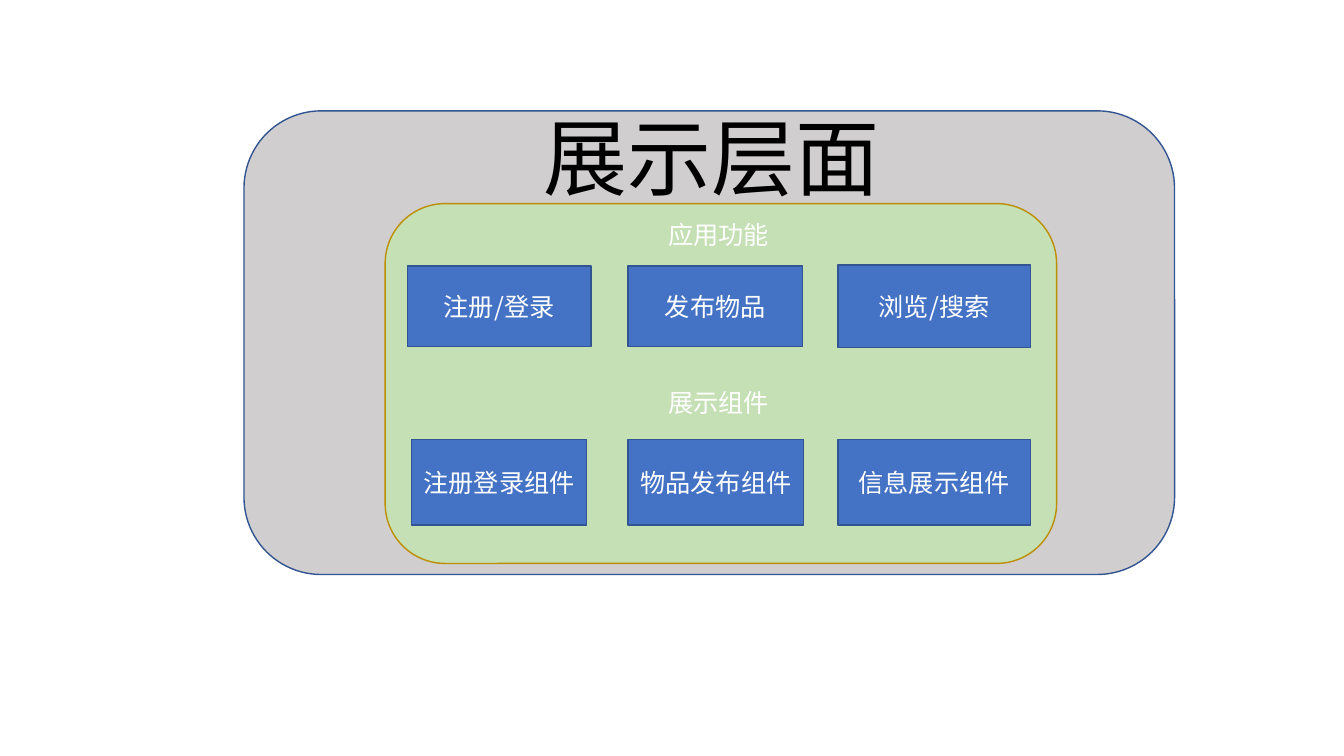
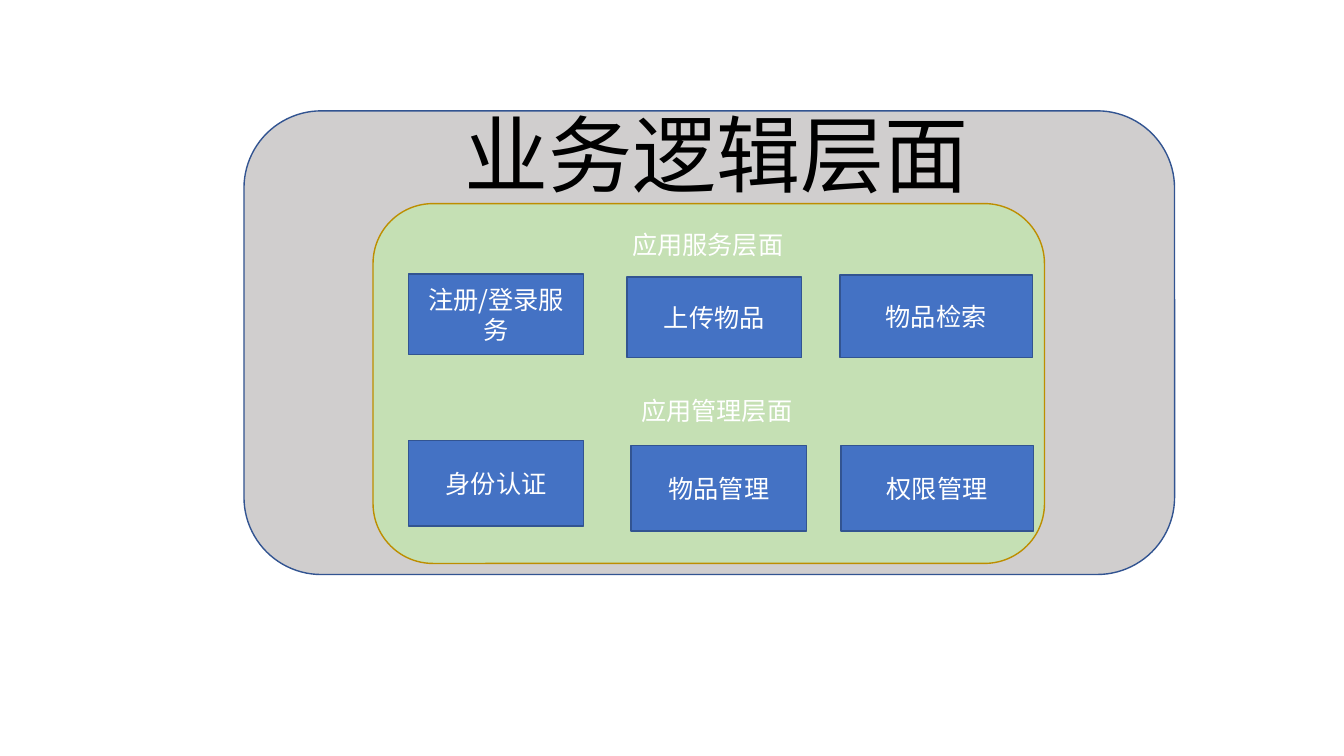
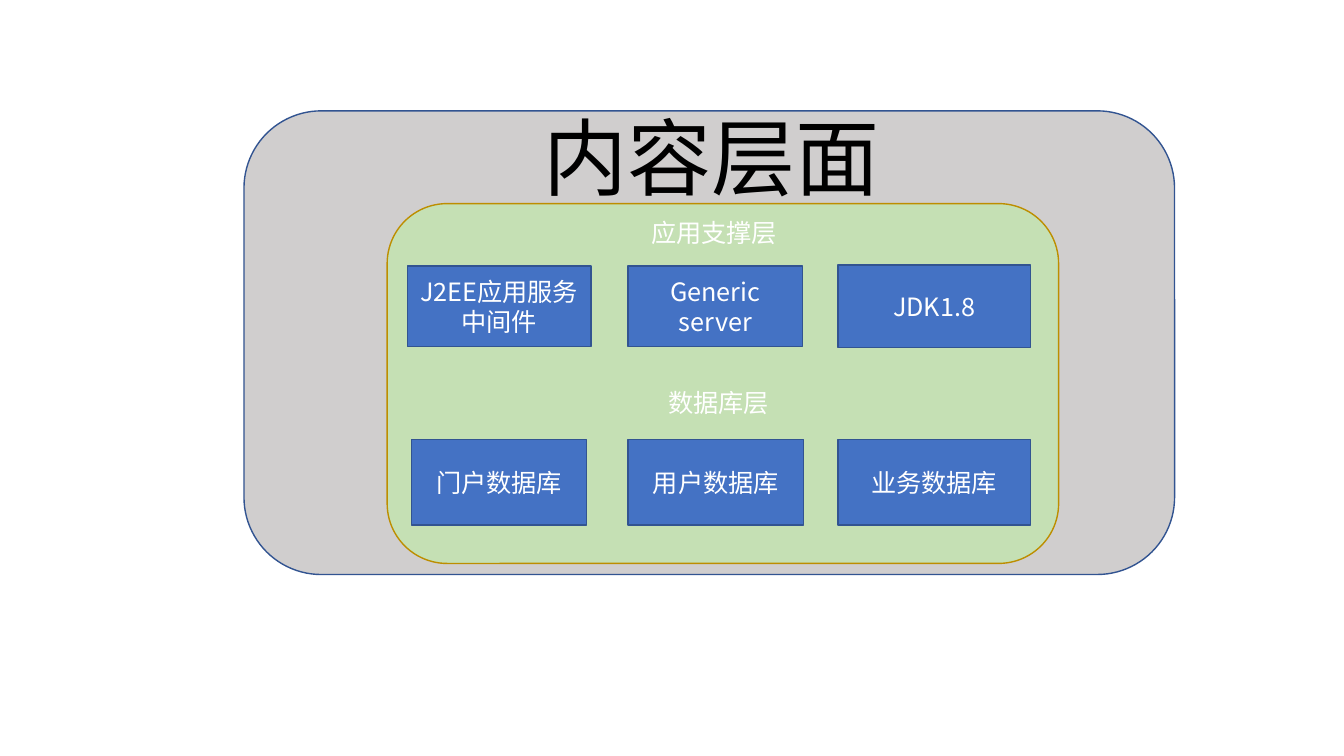
from pptx import Presentation
from pptx.dml.color import RGBColor
from pptx.enum.shapes import MSO_SHAPE
from pptx.enum.text import MSO_ANCHOR, MSO_AUTO_SIZE, PP_ALIGN
from pptx.oxml.ns import qn
from pptx.util import Inches, Pt
from lxml import etree

# Shared look
FONT = "Noto Sans CJK SC"
BLACK = RGBColor(0x00, 0x00, 0x00)
WHITE = RGBColor(0xFF, 0xFF, 0xFF)
GRAY = RGBColor(0xD0, 0xCE, 0xCE)
GREEN = RGBColor(0xC5, 0xE0, 0xB4)
GOLD = RGBColor(0xBD, 0x8E, 0x00)
BLUE = RGBColor(0x44, 0x72, 0xC4)
NAVY = RGBColor(0x32, 0x54, 0x91)

# Module boxes, row by row: left, top, width, height
GRID = [
    [(4.04, 2.64, 1.82, 0.8), (6.23, 2.64, 1.73, 0.8), (8.31, 2.63, 1.91, 0.82)],
    [(4.08, 4.36, 1.74, 0.85), (6.23, 4.36, 1.74, 0.85), (8.31, 4.36, 1.91, 0.85)],
]
LOGIC_GRID = [
    [(4.05, 2.72, 1.74, 0.8), (6.22, 2.75, 1.73, 0.8), (8.33, 2.73, 1.91, 0.82)],
    [(4.05, 4.37, 1.74, 0.85), (6.26, 4.42, 1.74, 0.85), (8.34, 4.42, 1.91, 0.85)],
]

# Each layer: title, title place, left of the green panel, grid,
# then per row the caption, its place and the modules
LAYERS = [
    ("展示层面", (5.29, 1, 5.35, 1.11), 3.82, GRID, [
        ("应用功能", (6.53, 2.13, 1.43, 0.4), ["注册/登录", "发布物品", "浏览/搜索"]),
        ("展示组件", (6.53, 3.79, 1.43, 0.4),
         ["注册登录组件", "物品发布组件", "信息展示组件"]),
    ]),
    ("业务逻辑层面", (4.51, 0.97, 5.38, 1.11), 3.7, LOGIC_GRID, [
        ("应用服务层面", (6.17, 2.23, 1.91, 0.4),
         ["注册/登录服务", "上传物品", "物品检索"]),
        ("应用管理层面", (6.26, 3.87, 1.91, 0.4),
         ["身份认证", "物品管理", "权限管理"]),
    ]),
    ("内容层面", (5.29, 1, 5.35, 1.11), 3.84, GRID, [
        ("应用支撑层", (6.36, 2.11, 1.62, 0.4),
         ["J2EE应用服务中间件", "Generic server", "JDK1.8"]),
        ("数据库层", (6.53, 3.79, 1.43, 0.4),
         ["门户数据库", "用户数据库", "业务数据库"]),
    ]),
]


def add_block(slide, preset, place, fill, outline):
    block = slide.shapes.add_shape(preset, *map(Inches, place))
    block.shadow.inherit = False
    block.fill.solid()
    block.fill.fore_color.rgb = fill
    block.line.color.rgb = outline
    block.line.width = Pt(1)
    return block


def write(shape, text, size, color, align, anchor):
    frame = shape.text_frame
    frame.word_wrap = True
    frame.auto_size = MSO_AUTO_SIZE.NONE
    frame.vertical_anchor = anchor
    paragraph = frame.paragraphs[0]
    paragraph.alignment = align
    run = paragraph.add_run()
    run.text = text
    run.font.name = FONT
    run.font.size = Pt(size)
    run.font.color.rgb = color
    # East Asian characters take their own font entry
    latin = run.font._element.find(qn("a:latin"))
    east_asian = etree.Element(qn("a:ea"), typeface=FONT)
    latin.addnext(east_asian)


deck = Presentation()
deck.slide_width = Inches(13.33)
deck.slide_height = Inches(7.5)
title_only = deck.slide_layouts[5]

for layer, title_place, panel_left, grid, rows in LAYERS:
    slide = deck.slides.add_slide(title_only)

    # Layer frame and inner panel
    add_block(slide, MSO_SHAPE.ROUNDED_RECTANGLE, (2.42, 1.1, 9.23, 4.6), GRAY, NAVY)
    add_block(slide, MSO_SHAPE.ROUNDED_RECTANGLE, (panel_left, 2.02, 6.66, 3.57),
              GREEN, GOLD)

    # Captions and their modules
    for (caption, caption_place, modules), places in zip(rows, grid):
        for module, place in zip(modules, places):
            box = add_block(slide, MSO_SHAPE.RECTANGLE, place, BLUE, NAVY)
            write(box, module, 18, WHITE, PP_ALIGN.CENTER, MSO_ANCHOR.MIDDLE)
        caption_box = slide.shapes.add_textbox(*map(Inches, caption_place))
        write(caption_box, caption, 18, WHITE, PP_ALIGN.LEFT, MSO_ANCHOR.TOP)

    # Title, brought in front of the frame
    title = slide.shapes.title
    title.left, title.top, title.width, title.height = map(Inches, title_place)
    write(title, layer, 60, BLACK, PP_ALIGN.LEFT, MSO_ANCHOR.TOP)
    title.element.getparent().append(title.element)

deck.save("out.pptx")
